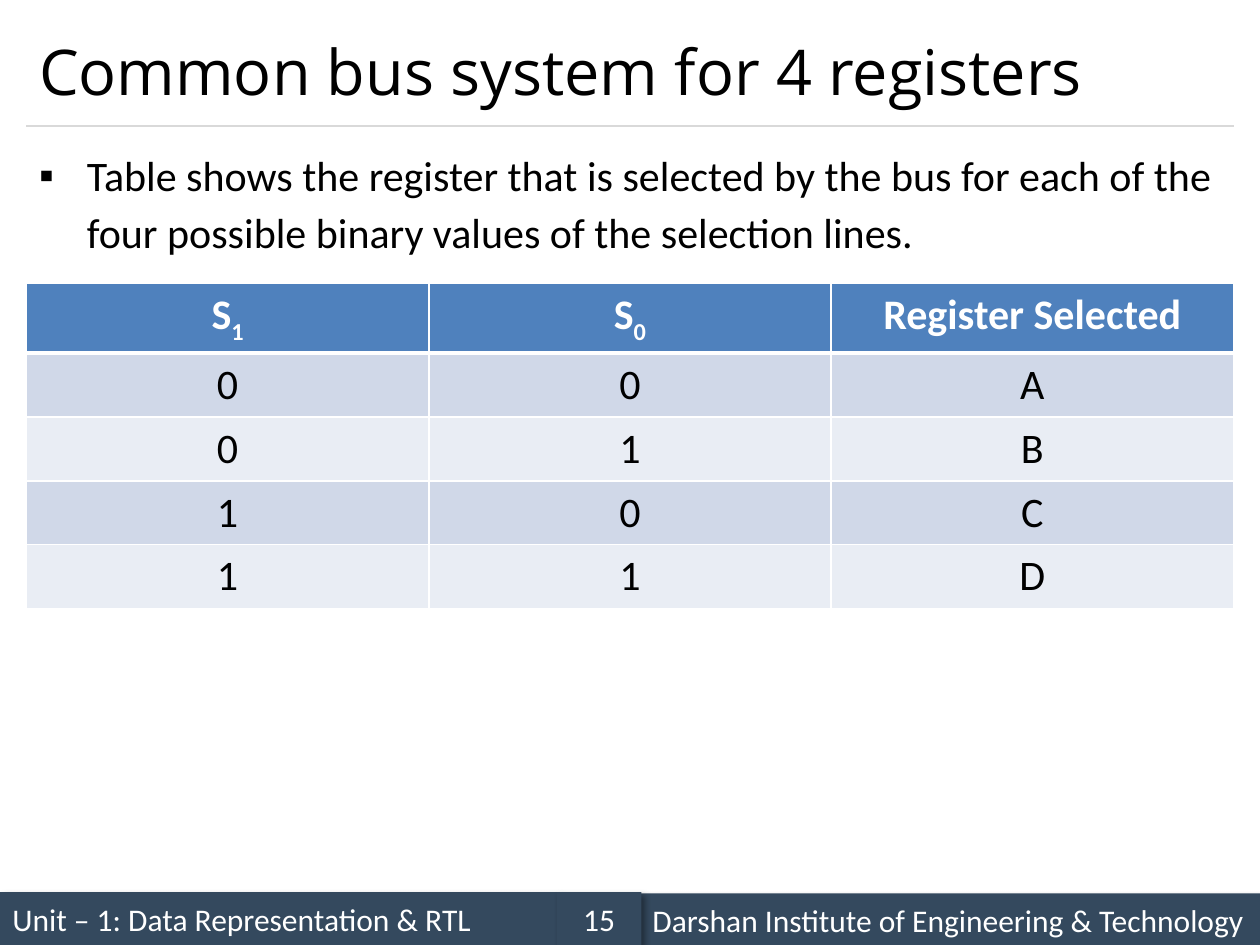
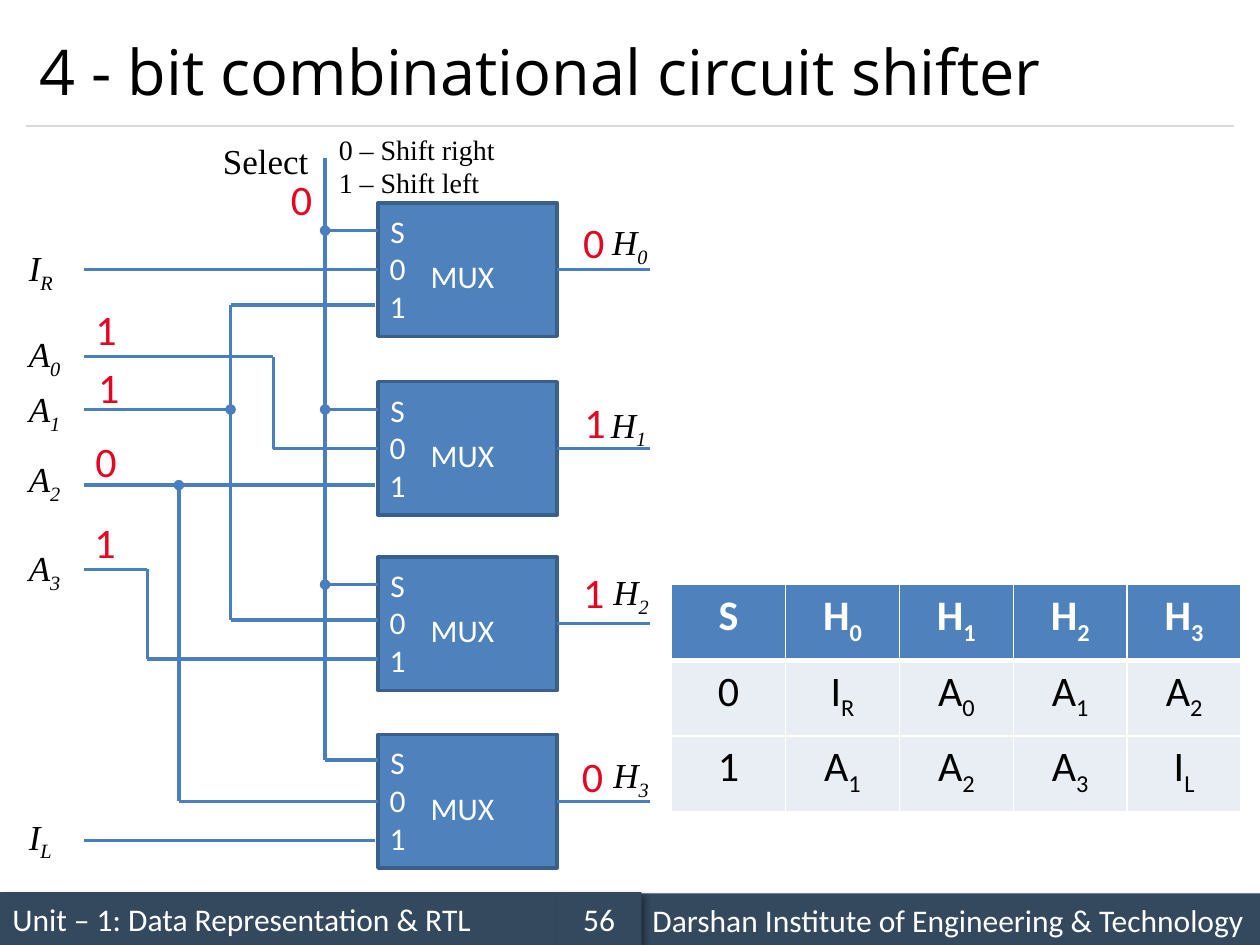
from dataclasses import dataclass

from lxml import etree
from pptx import Presentation
from pptx.dml.color import RGBColor
from pptx.enum.shapes import MSO_CONNECTOR, MSO_SHAPE
from pptx.enum.text import MSO_ANCHOR, MSO_AUTO_SIZE, PP_ALIGN
from pptx.oxml.ns import qn
from pptx.util import Inches, Pt

STRAIGHT = MSO_CONNECTOR.STRAIGHT
RECTANGLE = MSO_SHAPE.RECTANGLE
MIDDLE, TOP = MSO_ANCHOR.MIDDLE, MSO_ANCHOR.TOP
LEFT, CENTER = PP_ALIGN.LEFT, PP_ALIGN.CENTER
NO_FIT, GROW = MSO_AUTO_SIZE.NONE, MSO_AUTO_SIZE.SHAPE_TO_FIT_TEXT
LEFT_SIDE, RIGHT_SIDE = 1, 3

COLORS = {
    "text": "000000", "white": "FFFFFF", "band": "34495E", "rule": "D9D9D9",
    "accent": "4F81BD", "outline": "3A5F8C", "wire": "4B7EBC", "bit": "E40524",
    "row_dark": "D0D8E8", "row_light": "E9EDF4",
}
BODY_FONT, TITLE_FONT, SYMBOL_FONT = "Calibri", "Open Sans", "Times New Roman"
MARGIN, CONTENT_WIDTH = 0.21, 9.58
MUX_LEFT, MUX_WIDTH, MUX_HEIGHT = 3, 1.42, 1.06
MUX_TOPS = (1.61, 3.03, 4.42, 5.83)
OUTPUT_LENGTH = 0.74


@dataclass(frozen=True)
class Band:
    left: float
    top: float
    width: float
    text: str
    align: PP_ALIGN = LEFT


@dataclass(frozen=True)
class Wire:
    start: tuple[float, float]
    end: tuple[float, float]
    dot: str = ""
    mux: int | None = None


@dataclass(frozen=True)
class Label:
    text: str
    left: float
    top: float
    width: float = 0.49
    height: float = 0.44
    size: int = 20
    italic: bool = True


WIRES = (
    Wire((2.58, 1.25), (2.58, 6.03)),
    Wire((2.58, 1.83), (3, 1.83), "headEnd"),
    Wire((2.58, 3.25), (3, 3.25), "headEnd"),
    Wire((2.58, 4.64), (3, 4.64), "headEnd"),
    Wire((2.58, 6.03), (3, 6.03)),
    Wire((2.17, 3.56), (3, 3.56), mux=1),
    Wire((2.17, 2.83), (2.17, 3.56)),
    Wire((0.67, 2.83), (2.17, 2.83)),
    Wire((1.83, 2.42), (2.98, 2.42)),
    Wire((1.83, 2.42), (1.83, 4.92)),
    Wire((1.83, 4.92), (3, 4.92)),
    Wire((0.67, 3.25), (1.83, 3.25), "tailEnd"),
    Wire((0.67, 3.85), (2.98, 3.85)),
    Wire((1.42, 3.85), (1.42, 6.36), "headEnd"),
    Wire((1.42, 6.36), (3, 6.36), mux=3),
    Wire((1.17, 5.23), (3, 5.23)),
    Wire((1.17, 4.52), (1.17, 5.23)),
    Wire((0.67, 4.52), (1.17, 4.52)),
    Wire((0.67, 2.14), (3, 2.14), mux=0),
    Wire((0.67, 6.67), (2.98, 6.67)),
)
LABELS = (
    Label("A_0", 0.13, 2.59),
    Label("A_1", 0.13, 3.03),
    Label("A_2", 0.13, 3.58),
    Label("A_3", 0.13, 4.29),
    Label("H_0", 4.76, 1.7, 0.5),
    Label("H_1", 4.75, 3.15, 0.5),
    Label("H_2", 4.77, 4.48, 0.5),
    Label("H_3", 4.77, 5.93, 0.5),
    Label("Select", 1.67, 1.06, 0.91, italic=False),
    Label("0 – Shift right\n1 – Shift left", 2.59, 1, 1.49, 0.64, 16, False),
    Label("I_R", 0.13, 1.91, 0.41),
    Label("I_L", 0.13, 6.42, 0.39),
)
BITS = (
    ("0", 2.21, 1.33), ("1", 0.65, 4.05), ("0", 0.66, 3.41),
    ("1", 0.66, 2.36), ("1", 0.68, 2.82), ("0", 4.52, 5.91),
    ("1", 4.53, 4.45), ("0", 4.53, 1.67), ("1", 4.54, 3.1),
)
SELECTION_ROWS = (
    ("S_1", "S_0", "Register Selected"),
    ("0", "0", "A"), ("0", "1", "B"), ("1", "0", "C"), ("1", "1", "D"),
)
SHIFTER_ROWS = (
    ("S", "H_0", "H_1", "H_2", "H_3"),
    ("0", "I_R", "A_0", "A_1", "A_2"),
    ("1", "A_1", "A_2", "A_3", "I_L"),
)


def rgb(name: str) -> RGBColor:
    return RGBColor.from_string(COLORS[name])


def add_xml(parent, tag: str, **attributes: str):
    return etree.SubElement(parent, qn(tag), attributes)


def write_text(frame, text: str, *, size: int, color: str = "text",
               font: str = BODY_FONT, bold: bool = False, italic: bool = False,
               align: PP_ALIGN = LEFT) -> None:
    for index, line in enumerate(text.split("\n")):
        para = frame.add_paragraph() if index else frame.paragraphs[0]
        para.alignment = align
        for position, part in enumerate(line.split("_")):
            span = para.add_run()
            span.text = part
            span.font.size = Pt(size)
            span.font.name = font
            span.font.bold = bold
            span.font.italic = italic
            span.font.color.rgb = rgb(color)
            if position:
                span.font._element.set("baseline", "-25000")


def place(box, left: float, top: float, width: float, height: float) -> None:
    box.left, box.top = Inches(left), Inches(top)
    box.width, box.height = Inches(width), Inches(height)


def add_text(page, text: str, left: float, top: float, width: float,
             height: float, *, wrap: bool = False, inset: float = 0.1, **style):
    box = page.shapes.add_textbox(
        Inches(left), Inches(top), Inches(width), Inches(height))
    frame = box.text_frame
    frame.word_wrap = wrap
    frame.auto_size = GROW
    frame.margin_left = frame.margin_right = Inches(inset)
    write_text(frame, text, **style)


def add_box(page, left: float, top: float, width: float, height: float,
            fill: str):
    box = page.shapes.add_shape(
        RECTANGLE, Inches(left), Inches(top), Inches(width), Inches(height))
    box.shadow.inherit = False
    box.fill.solid()
    box.fill.fore_color.rgb = rgb(fill)
    box.line.fill.background()
    return box


def add_line(page, start: tuple[float, float], end: tuple[float, float],
             color: str, weight: float, dot: str = ""):
    line = page.shapes.add_connector(
        STRAIGHT, *(Inches(value) for value in (*start, *end)))
    line.line.color.rgb = rgb(color)
    line.line.width = Pt(weight)
    if dot:
        add_xml(line.line._get_or_add_ln(), f"a:{dot}", type="oval")
    add_xml(line._element.spPr, "a:effectLst")
    return line


def add_band(page, band: Band) -> None:
    box = add_box(page, band.left, band.top, band.width, 0.42, "band")
    effects = box._element.spPr.find(qn("a:effectLst"))
    shadow = add_xml(effects, "a:outerShdw", blurRad=str(Pt(4)),
                     dist=str(Pt(3)), dir="2700000", algn="tl", rotWithShape="0")
    shade = add_xml(shadow, "a:srgbClr", val=COLORS["text"])
    add_xml(shade, "a:alpha", val="40000")
    box.text_frame.vertical_anchor = MIDDLE
    write_text(box.text_frame, band.text, size=18, color="white",
               align=band.align)


def add_page(deck, layout: int, title: str, number: int):
    page = deck.slides.add_slide(deck.slide_layouts[layout])
    add_band(page, Band(0, 7.08, 4.42, "Unit – 1: Data Representation & RTL"))
    add_line(page, (MARGIN, 1), (MARGIN + CONTENT_WIDTH, 1), "rule", 0.75)
    add_band(page, Band(5.08, 7.09, 4.92,
                        "Darshan Institute of Engineering & Technology"))
    add_band(page, Band(4.42, 7.08, 0.67, str(number), CENTER))
    heading = page.shapes.title
    place(heading, MARGIN, 0.12, CONTENT_WIDTH, 0.88)
    heading.text_frame.auto_size = NO_FIT
    heading.text_frame.vertical_anchor = MIDDLE
    write_text(heading.text_frame, title, size=36, font=TITLE_FONT)
    return page


def fill_body(page, text: str) -> None:
    body = page.placeholders[1]
    place(body, MARGIN, 1.08, CONTENT_WIDTH, 5.83)
    body.text_frame.auto_size = NO_FIT
    body.text_frame.vertical_anchor = TOP
    para = body.text_frame.paragraphs[0]
    para.line_spacing = 1.14
    para.space_before = Pt(0)
    properties = para._p.get_or_add_pPr()
    properties.set("marL", str(Inches(0.38)))
    properties.set("indent", str(-Inches(0.38)))
    add_xml(properties, "a:buChar", char="▪")
    write_text(body.text_frame, text, size=24)


def add_borders(cell, header: bool) -> None:
    properties = cell._tc.get_or_add_tcPr()
    for side in "LRTB":
        weight = 3 if header and side == "B" else 1
        border = add_xml(properties, f"a:ln{side}", w=str(Pt(weight)))
        add_xml(add_xml(border, "a:solidFill"), "a:srgbClr", val=COLORS["white"])


def add_grid(page, rows: tuple, left: float, top: float, width: float,
             row_height: float, stripes: tuple[str, str]) -> None:
    table = page.shapes.add_table(
        len(rows), len(rows[0]), Inches(left), Inches(top),
        Inches(width), Inches(row_height * len(rows))).table
    for row_index, row in enumerate(rows):
        header = row_index == 0
        for column_index, text in enumerate(row):
            cell = table.cell(row_index, column_index)
            add_borders(cell, header)
            cell.fill.solid()
            cell.fill.fore_color.rgb = rgb(
                "accent" if header else stripes[(row_index - 1) % 2])
            write_text(cell.text_frame, text, size=24, bold=header,
                       color="white" if header else "text", align=CENTER)


def add_mux(page, top: float):
    box = add_box(page, MUX_LEFT, top, MUX_WIDTH, MUX_HEIGHT, "accent")
    box.line.color.rgb = rgb("outline")
    box.line.width = Pt(2)
    style = {"size": 18, "color": "white", "align": CENTER, "wrap": True}
    add_text(page, "S\n0\n1", MUX_LEFT + 0.02, top + 0.02, 0.27, 1.01,
             inset=0, **style)
    add_text(page, "MUX", MUX_LEFT - 0.04, top + 0.38, MUX_WIDTH, 0.42, **style)
    return box


def build_bus_page(deck) -> None:
    page = add_page(deck, 1, "Common bus system for 4 registers", 15)
    fill_body(page, "Table shows the register that is selected by the bus for "
                    "each of the four possible binary values of the selection "
                    "lines.")
    add_grid(page, SELECTION_ROWS, MARGIN, 2.25, CONTENT_WIDTH, 0.5,
             ("row_dark", "row_light"))


def build_shifter_page(deck) -> None:
    page = add_page(deck, 5, "4 - bit combinational circuit shifter", 56)
    muxes = [add_mux(page, top) for top in MUX_TOPS]
    for wire in WIRES:
        line = add_line(page, wire.start, wire.end, "wire", 2, wire.dot)
        if wire.mux is not None:
            line.end_connect(muxes[wire.mux], LEFT_SIDE)
    output_left = MUX_LEFT + MUX_WIDTH
    for mux, top in zip(muxes, MUX_TOPS):
        middle = top + MUX_HEIGHT / 2
        line = add_line(page, (output_left, middle),
                        (output_left + OUTPUT_LENGTH, middle), "wire", 2)
        line.begin_connect(mux, RIGHT_SIDE)
    for label in LABELS:
        add_text(page, label.text, label.left, label.top, label.width,
                 label.height, size=label.size, font=SYMBOL_FONT,
                 italic=label.italic)
    add_grid(page, SHIFTER_ROWS, 5.33, 4.64, 4.52, 0.6,
             ("row_light", "row_light"))
    for bit, left, top in BITS:
        add_text(page, bit, left, top, 0.37, 0.5, size=24, color="bit")


def main() -> None:
    deck = Presentation()
    deck.slide_width, deck.slide_height = Inches(10), Inches(7.5)
    build_bus_page(deck)
    build_shifter_page(deck)
    deck.save("out.pptx")


if __name__ == "__main__":
    main()
